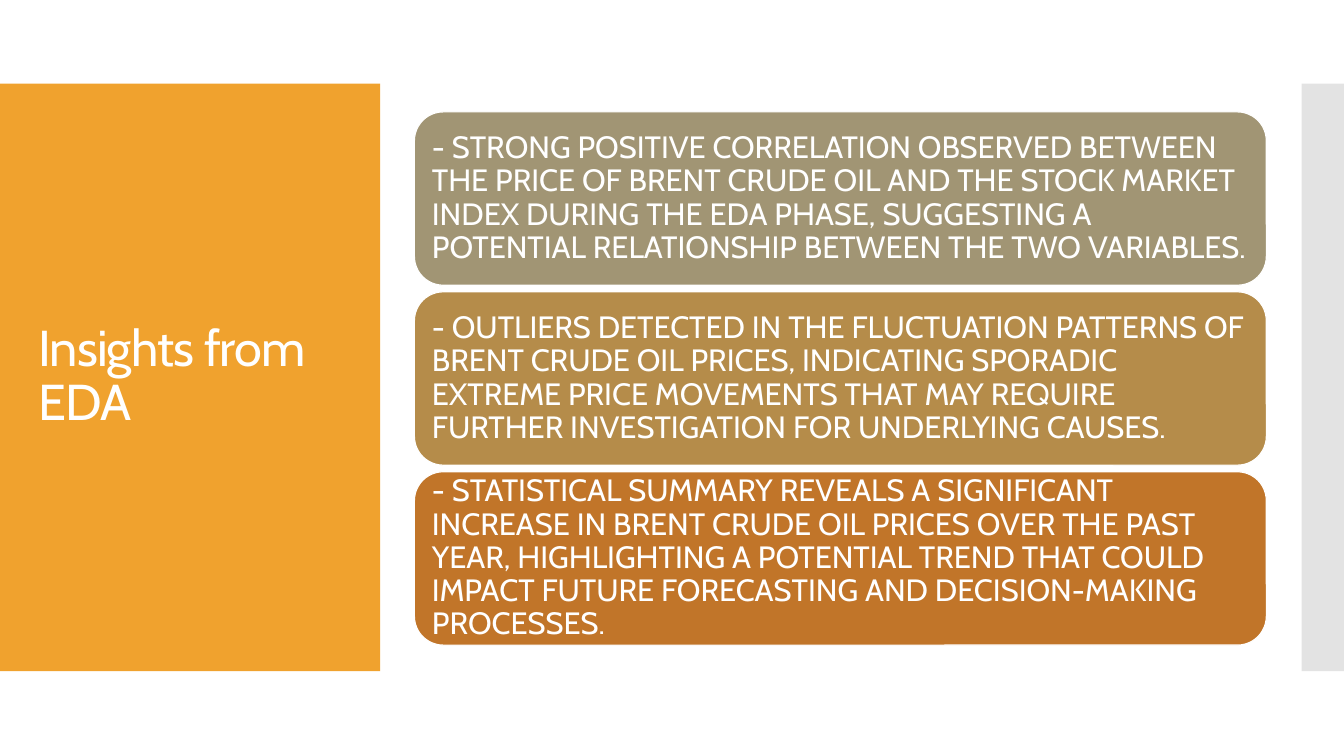
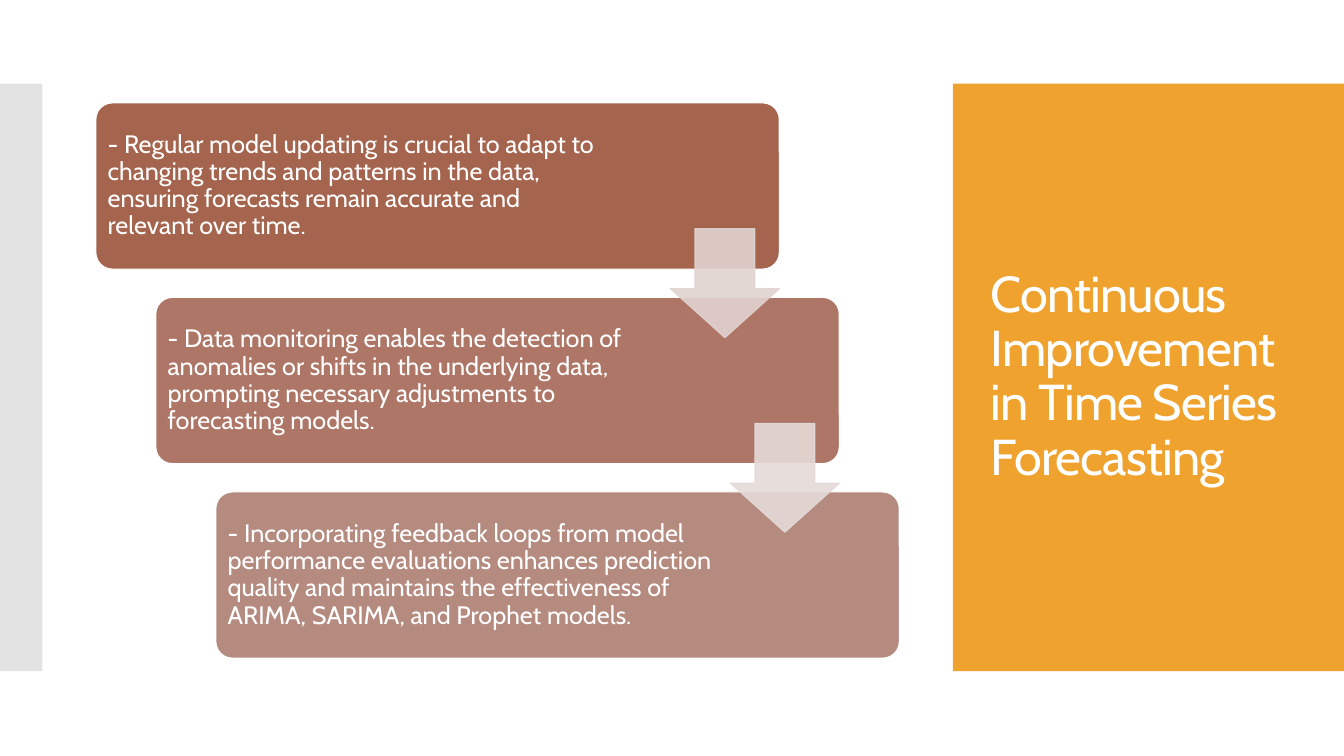
from lxml import etree
from pptx import Presentation
from pptx.dml.color import RGBColor
from pptx.enum.shapes import MSO_SHAPE
from pptx.enum.text import MSO_ANCHOR, PP_ALIGN
from pptx.oxml.ns import qn
from pptx.util import Inches, Pt

RECT = MSO_SHAPE.RECTANGLE
ROUNDED = MSO_SHAPE.ROUNDED_RECTANGLE
DOWN_ARROW = MSO_SHAPE.DOWN_ARROW
MIDDLE = MSO_ANCHOR.MIDDLE
LEFT = PP_ALIGN.LEFT

FONT = "Cabin"
COLORS = {
    "white": "FFFFFF",
    "panel": "F0A22E",
    "edge": "C8C8C8",
    "khaki": "A19574",
    "ochre": "B58C4A",
    "orange": "C17529",
    "rust": "A5644E",
    "clay": "AE7666",
    "rose": "B58B80",
    "arrow_dark": "E1D3D0",
    "arrow_light": "E5DAD8",
}

SLIDE_W, SLIDE_H = 13.33, 7.5
BAND_TOP, BAND_H = 0.83, 5.83
EDGE_W = 0.42
TITLE_INDENT, TITLE_TOP, TITLE_W, TITLE_H = 0.28, 1.23, 3.22, 5.03

INSIGHTS = [
    ("khaki", "- STRONG POSITIVE CORRELATION OBSERVED BETWEEN THE PRICE OF BRENT CRUDE OIL "
     "AND THE STOCK MARKET INDEX DURING THE EDA PHASE, SUGGESTING A POTENTIAL "
     "RELATIONSHIP BETWEEN THE TWO VARIABLES."),
    ("ochre", "- OUTLIERS DETECTED IN THE FLUCTUATION PATTERNS OF BRENT CRUDE OIL PRICES, "
     "INDICATING SPORADIC EXTREME PRICE MOVEMENTS THAT MAY REQUIRE FURTHER "
     "INVESTIGATION FOR UNDERLYING CAUSES."),
    ("orange", "- STATISTICAL SUMMARY REVEALS A SIGNIFICANT INCREASE IN BRENT CRUDE OIL PRICES "
     "OVER THE PAST YEAR, HIGHLIGHTING A POTENTIAL TREND THAT COULD IMPACT FUTURE "
     "FORECASTING AND DECISION-MAKING PROCESSES."),
]
STEPS = [
    ("rust", "- Regular model updating is crucial to adapt to changing trends and patterns "
     "in the data, ensuring forecasts remain accurate and relevant over time."),
    ("clay", "- Data monitoring enables the detection of anomalies or shifts in the "
     "underlying data, prompting necessary adjustments to forecasting models."),
    ("rose", "- Incorporating feedback loops from model performance evaluations enhances "
     "prediction quality and maintains the effectiveness of ARIMA, SARIMA, and "
     "Prophet models."),
]
ARROWS = ["arrow_dark", "arrow_light"]


def paint(fill, color, alpha):
    """Make a fill solid, with alpha as its opacity in percent."""
    fill.solid()
    fill.fore_color.rgb = RGBColor.from_string(COLORS[color])
    if alpha < 100:
        for clr in fill._xPr.iterfind(f"{qn('a:solidFill')}/{qn('a:srgbClr')}"):
            etree.SubElement(clr, qn("a:alpha")).set("val", str(alpha * 1000))


def add_box(s, kind, x, y, w, h, color, line=None, alpha=100, adjust=()):
    sp = s.shapes.add_shape(kind, Inches(x), Inches(y), Inches(w), Inches(h))
    sp.shadow.inherit = False
    paint(sp.fill, color, alpha)
    if line:
        sp.line.width = Pt(0.85)
        paint(sp.line.fill, line, alpha)
    else:
        sp.line.fill.background()
    for i, value in enumerate(adjust):
        sp.adjustments[i] = value
    return sp


def write(sp, text, size, inset=0.1, right=None, color="white", spacing=None):
    """Write left-aligned text; spacing is the letter spacing in points."""
    tf = sp.text_frame
    tf.word_wrap = True
    tf.vertical_anchor = MIDDLE
    tf.margin_left = tf.margin_top = tf.margin_bottom = Inches(inset)
    tf.margin_right = Inches(inset if right is None else right)
    p = tf.paragraphs[0]
    p.alignment = LEFT
    p.line_spacing = 0.9
    r = p.add_run()
    r.text = text
    r.font.name = FONT
    r.font.size = Pt(size)
    r.font.color.rgb = RGBColor.from_string(COLORS[color])
    if spacing:
        r.font._element.set("spc", str(round(spacing * 100)))


def add_frame(s, title, panel_x, panel_w, edge_x):
    """Draw the title panel and the grey strip at the opposite edge."""
    add_box(s, RECT, panel_x, BAND_TOP, panel_w, BAND_H, "panel")
    add_box(s, RECT, edge_x, BAND_TOP, EDGE_W, BAND_H, "edge", alpha=50)
    sp = s.shapes.add_textbox(Inches(panel_x + TITLE_INDENT), Inches(TITLE_TOP),
                              Inches(TITLE_W), Inches(TITLE_H))
    write(sp, title, 36, spacing=-0.6)


def add_card_stack(s, cards, x, y, w, h, card_h=1.72):
    """Spread full-width cards evenly over the height of the box."""
    step = (h - card_h) / (len(cards) - 1)
    for i, (color, text) in enumerate(cards):
        sp = add_box(s, ROUNDED, x, y + i * step, w, card_h, color, line="white")
        write(sp, text, 22, inset=0.09)


def add_staircase(s, steps, arrows, x, y, w, h, card_w=6.78, card_h=1.65, arrow=1.08):
    """Step cards down from left to right, with an arrow from each to the next."""
    dx = (w - card_w) / (len(steps) - 1)
    dy = (h - card_h) / (len(steps) - 1)
    for i, (color, text) in enumerate(steps):
        sp = add_box(s, ROUNDED, x + i * dx, y + i * dy, card_w, card_h, color,
                     line="white", adjust=[0.1])
        write(sp, text, 18, inset=0.07, right=1.74)
    for i, color in enumerate(arrows):
        add_box(s, DOWN_ARROW, x + i * dx + card_w - arrow, y + i * dy + 1.25,
                arrow, arrow, color, line=color, alpha=90, adjust=[0.55, 0.45])


def insights_slide(prs):
    s = prs.slides.add_slide(prs.slide_layouts[6])
    add_frame(s, "Insights from EDA", 0, 3.77, SLIDE_W - EDGE_W)
    add_card_stack(s, INSIGHTS, 4.11, 1.11, 8.45, 5.29)


def improvement_slide(prs):
    s = prs.slides.add_slide(prs.slide_layouts[6])
    add_frame(s, "Continuous Improvement in Time Series Forecasting", 9.45, 3.88, 0)
    add_staircase(s, STEPS, ARROWS, 0.95, 1.02, 7.97, 5.51)


def main():
    prs = Presentation()
    prs.slide_width, prs.slide_height = Inches(SLIDE_W), Inches(SLIDE_H)
    insights_slide(prs)
    improvement_slide(prs)
    prs.save("out.pptx")


if __name__ == "__main__":
    main()
